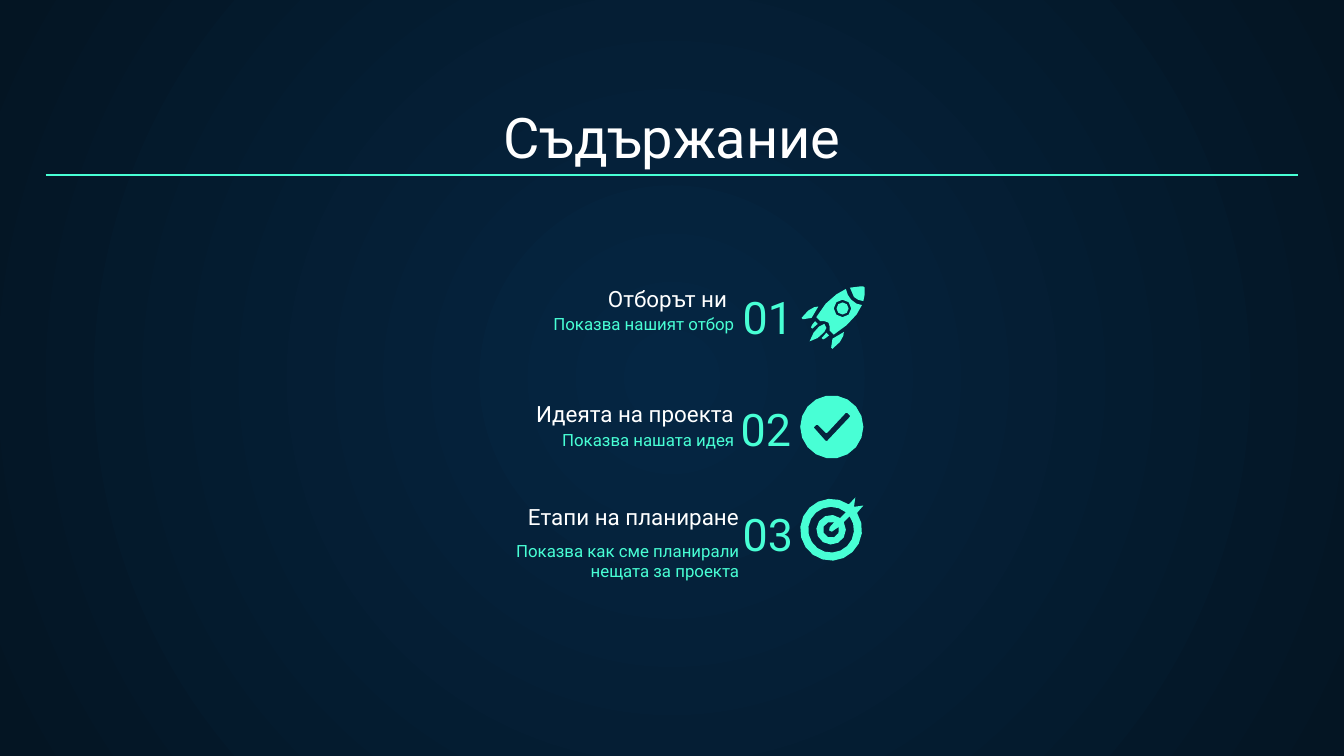
"""Build a contents slide with three numbered entries and icons."""
import math

from lxml import etree
from pptx import Presentation
from pptx import util as u
from pptx.dml.color import RGBColor
from pptx.enum import shapes, text
from pptx.oxml import ns

COLORS = {"center": "052643", "edge": "041523", "mint": "48FFD5", "white": "FFFFFF"}
GRID = 0.72
ICON_LEFT = 428.7
ALIGN = text.PP_ALIGN
TOP, BOTTOM = text.MSO_ANCHOR.TOP, text.MSO_ANCHOR.BOTTOM


def arc(x, y, radius, start=0, end=360):
    step = 20 if radius > 15 else 30 if radius > 8 else 45
    steps = round(abs(end - start) / step)
    angles = [math.radians(start + (end - start) * i / steps) for i in range(steps + 1)]
    return [(x + radius * math.cos(a), y + radius * math.sin(a)) for a in angles]


def add_outline(parent, top, contours):
    scaled = [[(round(x * 100), round(y * 100)) for x, y in points] for points in contours]
    builder = parent.build_freeform(*scaled[0][0], scale=u.Pt(GRID) / 100)
    for points in scaled:
        if points is not scaled[0]:
            builder.move_to(*points[0])
        builder.add_line_segments(points[1:], close=True)
    shape = builder.convert_to_shape(u.Pt(ICON_LEFT), u.Pt(top))
    shape.fill.solid()
    shape.fill.fore_color.rgb = RGBColor.from_string(COLORS["mint"])
    shape.line.fill.background()
    shape.shadow.inherit = False


presentation = Presentation()
presentation.slide_width = u.Pt(720)
presentation.slide_height = u.Pt(405)
slide = presentation.slides.add_slide(presentation.slide_layouts[6])

background = slide.background.fill
background.gradient()
for stop, name in zip(background.gradient_stops, ("center", "edge")):
    stop.color.rgb = RGBColor.from_string(COLORS[name])
gradient = slide.element.find(".//" + ns.qn("a:gradFill"))
gradient.remove(gradient.find(ns.qn("a:lin")))
circle = etree.SubElement(gradient, ns.qn("a:path"), path="circle")
etree.SubElement(circle, ns.qn("a:fillToRect"), l="50000", t="50000", r="50000", b="50000")

labels = [("Съдържание", 24.5, 50.8, 671, 47.5, 30, "white", ALIGN.CENTER, BOTTOM)]
entries = [
    ("01", 390.8, 143.7, "Отборът ни", 233.3, 159.5, "Показва нашият отбор", 241.9, 162.8),
    ("02", 389.7, 203.8, "Идеята на проекта", 236.9, 220.7, "Показва нашата идея", 241.9, 224.7),
    ("03", 390.8, 259.9, "Етапи на планиране", 239.6, 275.8,
     "Показва как сме планирали нещата за проекта", 244.6, 282.4),
]
for number, number_x, number_y, title, title_x, title_y, detail, detail_x, detail_y in entries:
    labels += [
        (detail, detail_x, detail_y, 158.4, 39.6, 9, "mint", ALIGN.RIGHT, TOP),
        (number, number_x, number_y, 92.9, 47.5, 24, "mint", ALIGN.LEFT, BOTTOM),
        (title, title_x, title_y, 163.4, 15.1, 12, "white", ALIGN.RIGHT, BOTTOM),
    ]
for wording, left, top, width, height, size, color, alignment, anchor in labels:
    box = slide.shapes.add_textbox(u.Pt(left), u.Pt(top), u.Pt(width), u.Pt(height))
    frame = box.text_frame
    frame.word_wrap = True
    frame.vertical_anchor = anchor
    frame.margin_left = frame.margin_right = u.Pt(7.2)
    frame.margin_top = frame.margin_bottom = u.Pt(7.2)
    frame.text = wording
    paragraph = frame.paragraphs[0]
    paragraph.alignment = alignment
    font = paragraph.runs[0].font
    font.name = "Roboto"
    font.size = u.Pt(size)
    font.color.rgb = RGBColor.from_string(COLORS[color])

fin = [(13.5, 15), (10.5, 15.5), (6, 18), (1, 23.5), (2, 24.5), (8.5, 23.5)]
side_flame = [(11, 26), (9, 28.5), (8, 30.5), (9, 31.5), (13, 28)]
main_flame = [(18, 28), (14, 30), (10, 34.5), (7, 41), (13, 38.5), (18, 34), (19.5, 31)]
nose = [(45, 0), (37, 1), (40, 8), (43, 10), (47, 11), (48, 6), (48, 1), (47, 0)]
body = [(34, 2), (27, 6), (19, 13), (12, 23), (15, 26), (18, 26), (21, 27), (22, 30),
        (22, 33), (25, 36), (34.5, 29), (42, 21), (46, 14), (42, 13), (38, 10), (35.5, 6.5)]
rocket = [[main_flame], [nose], [body, arc(31.5, 16.5, 6.5)], [arc(31.5, 16.5, 4.5)]]
for part in (fin, side_flame):
    rocket += [[part], [[(47.5 - y, 47.5 - x) for x, y in part]]]
rocket_shapes = slide.shapes.add_group_shape().shapes
for contours in rocket:
    add_outline(rocket_shapes, 153.4, contours)

check = [(35, 13), (37, 15), (37, 16), (20, 34), (19, 34), (11, 25),
         (10, 24), (12, 22), (13, 22), (19, 28), (20, 28), (34, 13)]
add_outline(slide.shapes, 211.8, [arc(23.5, 23.5, 23.5), check])

rim = [(41, 0)] + arc(23, 24, 23, -55, -393) + [(47, 6), (40, 7)]
ring = arc(23, 24, 11, -52, -391) + arc(23, 24, 17, -396, -50)
bullseye = arc(23, 24, 6, -20, 292) + [(22, 22), (21.5, 24.5), (23.5, 25.5)]
add_outline(slide.shapes, 266.5, [rim, ring, bullseye])

rule = slide.shapes.add_connector(
    shapes.MSO_CONNECTOR.STRAIGHT, u.Pt(24.5), u.Pt(93.8), u.Pt(695.5), u.Pt(93.8))
rule.line.color.rgb = RGBColor.from_string(COLORS["mint"])
rule.line.width = u.Pt(0.75)
etree.SubElement(rule.element.spPr, ns.qn("a:effectLst"))

presentation.save("out.pptx")
